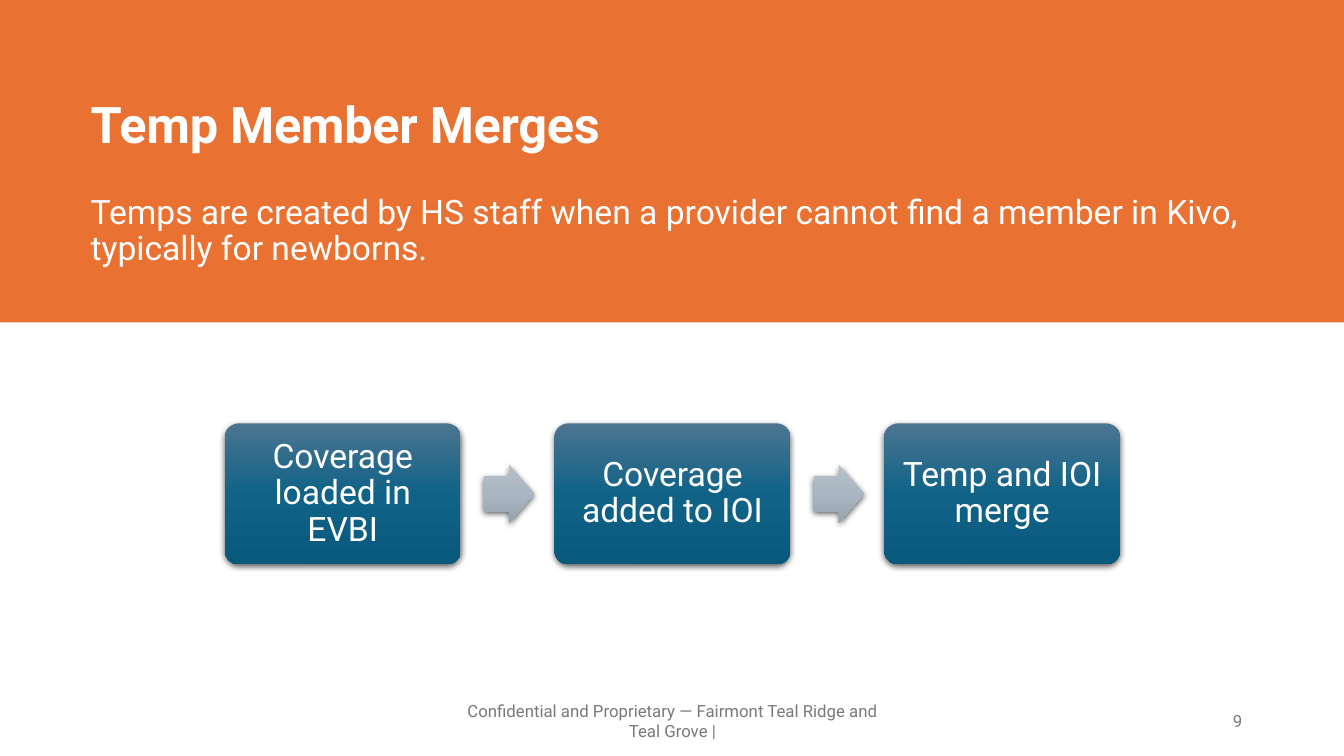
"""Build the slide on merging temp members."""
from lxml import etree
from pptx import Presentation
from pptx.dml.color import RGBColor
from pptx.enum.shapes import MSO_SHAPE
from pptx.enum.text import MSO_ANCHOR, PP_ALIGN
from pptx.oxml import parse_xml
from pptx.util import Inches, Pt

RECT = MSO_SHAPE.RECTANGLE
ROUND = MSO_SHAPE.ROUNDED_RECTANGLE
ARROW = MSO_SHAPE.RIGHT_ARROW
TOP, MIDDLE = MSO_ANCHOR.TOP, MSO_ANCHOR.MIDDLE
LEFT, CENTER, RIGHT = PP_ALIGN.LEFT, PP_ALIGN.CENTER, PP_ALIGN.RIGHT

WHITE = RGBColor(0xFF, 0xFF, 0xFF)
ORANGE = RGBColor(0xE9, 0x71, 0x32)
GRAY = RGBColor(0x79, 0x79, 0x79)
BLACK = RGBColor(0, 0, 0)
BLUES = [RGBColor(0x4C, 0x75, 0x91), RGBColor(0x10, 0x62, 0x87),
         RGBColor(0x09, 0x59, 0x7D)]
SILVERS = [RGBColor(0xB6, 0xBF, 0xC9), RGBColor(0xAA, 0xB7, 0xC2),
           RGBColor(0x96, 0xA2, 0xAE)]

TITLE = "Temp Member Merges"
INTRO = ("Temps are created by HS staff when a provider cannot find "
         "a member in Kivo, typically for newborns.")
STEPS = ["Coverage loaded in EVBI", "Coverage added to IOI",
         "Temp and IOI merge"]
FOOTER = "Confidential and Proprietary — Fairmont Teal Ridge and Teal Grove |"
PAGE = "9"

FONT = "Roboto"
START, STEP = 2.23, 3.27
BOX_W, BOX_H, BOX_Y = 2.34, 1.4, 4.2
ARROW_W, ARROW_H, ARROW_DX = 0.5, 0.58, 2.57
SPACE = 'xmlns:a="http://schemas.openxmlformats.org/drawingml/2006/main"'


def write(shape, text, size, color, align=LEFT, anchor=TOP,
          inset=(0, 0), lines=None):
    """Put one run of text in a shape and return the run."""
    frame = shape.text_frame
    frame.word_wrap = True
    frame.vertical_anchor = anchor
    frame.margin_left = frame.margin_right = Inches(inset[0])
    frame.margin_top = frame.margin_bottom = Inches(inset[1])
    para = frame.paragraphs[0]
    para.alignment = align
    if lines:
        para.line_spacing = lines
    run = para.add_run()
    run.text = text
    run.font.name = FONT
    run.font.size = Pt(size)
    run.font.color.rgb = color
    return run


def label(slide, spot, *args, **style):
    """Add a text box and return its run."""
    box = slide.shapes.add_textbox(*map(Inches, spot))
    return write(box, *args, **style)


def block(slide, kind, spot, colors):
    """Add a shape with a downward gradient and a soft shadow."""
    shape = slide.shapes.add_shape(kind, *map(Inches, spot))
    shape.line.fill.background()
    shape.shadow.inherit = False
    shape.fill.gradient()
    grad = shape.fill._xPr.gradFill
    stops = "".join(
        f'<a:gs pos="{i * 50000}"><a:srgbClr val="{color}"/></a:gs>'
        for i, color in enumerate(colors))
    new = parse_xml(f'<a:gradFill {SPACE} rotWithShape="1"><a:gsLst>{stops}'
                    '</a:gsLst><a:lin ang="5400000" scaled="0"/></a:gradFill>')
    grad.getparent().replace(grad, new)
    effects = new.getparent().find("{*}effectLst")
    effects.append(etree.fromstring(
        f'<a:outerShdw {SPACE} blurRad="{Pt(4.5)}" dist="{Pt(1.5)}" '
        f'dir="5400000" algn="ctr" rotWithShape="0"><a:srgbClr val="{BLACK}">'
        '<a:alpha val="63000"/></a:srgbClr></a:outerShdw>'))
    return shape


def main():
    """Draw the band, the text and the flow, then save."""
    deck = Presentation()
    deck.slide_width, deck.slide_height = Inches(13.33), Inches(7.5)
    slide = deck.slides.add_slide(deck.slide_layouts[6])

    band = slide.shapes.add_shape(RECT, 0, 0, deck.slide_width, Inches(3.2))
    band.shadow.inherit = False
    band.fill.solid()
    band.fill.fore_color.rgb = ORANGE
    band.line.fill.background()

    title = label(slide, (0.9, 1, 11.54, 0.92), TITLE, 36, WHITE,
                  lines=Pt(38))
    title.font.bold = True
    title.font._element.set("spc", "-20")
    label(slide, (0.9, 1.94, 11.54, 0.92), INTRO, 24, WHITE, lines=0.9)

    for i, text in enumerate(STEPS):
        left = START + i * STEP
        card = block(slide, ROUND, (left, BOX_Y, BOX_W, BOX_H), BLUES)
        card.adjustments[0] = 0.1
        write(card, text, 24, WHITE, CENTER, MIDDLE, (0.1, 0.1), 0.9)
        if i < len(STEPS) - 1:
            top = BOX_Y + (BOX_H - ARROW_H) / 2
            arrow = block(slide, ARROW,
                          (left + ARROW_DX, top, ARROW_W, ARROW_H), SILVERS)
            arrow.adjustments[0] = 0.6
            arrow.adjustments[1] = 0.5

    small = {"anchor": MIDDLE, "inset": (0.1, 0.05)}
    label(slide, (4.42, 6.95, 4.5, 0.4), FOOTER, 12, GRAY, CENTER, **small)
    label(slide, (9.42, 6.95, 3, 0.4), PAGE, 12, GRAY, RIGHT, **small)
    deck.save("out.pptx")


if __name__ == "__main__":
    main()
